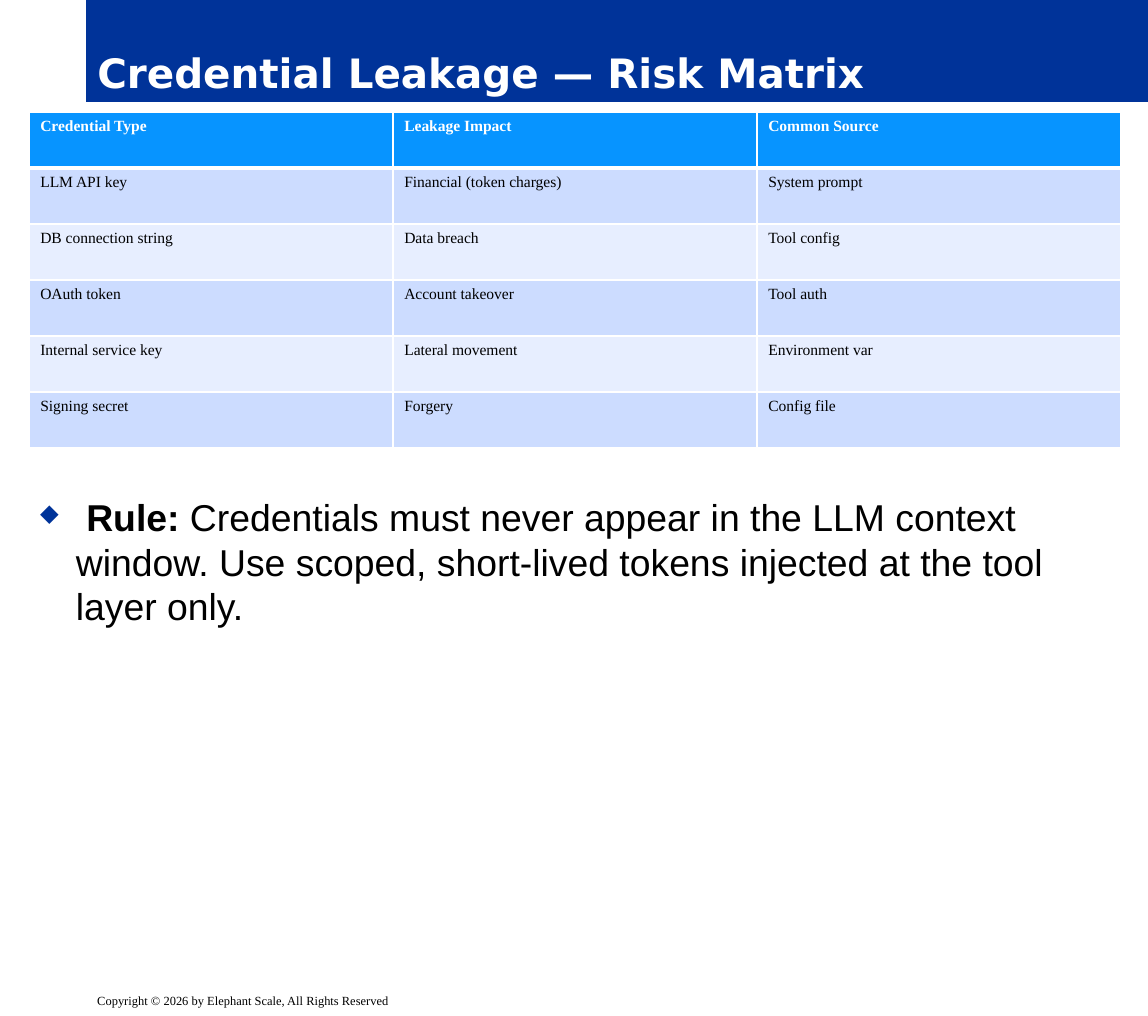
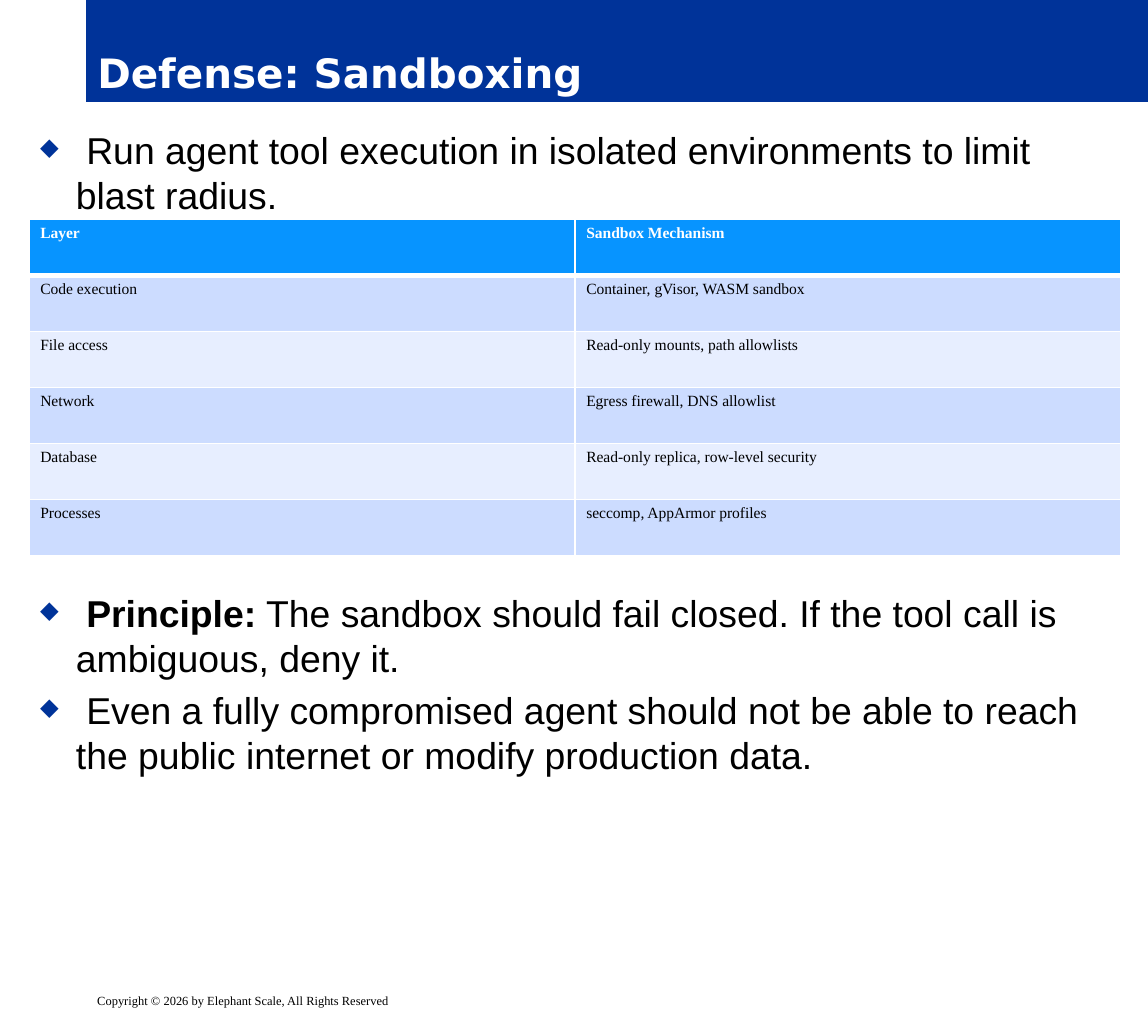
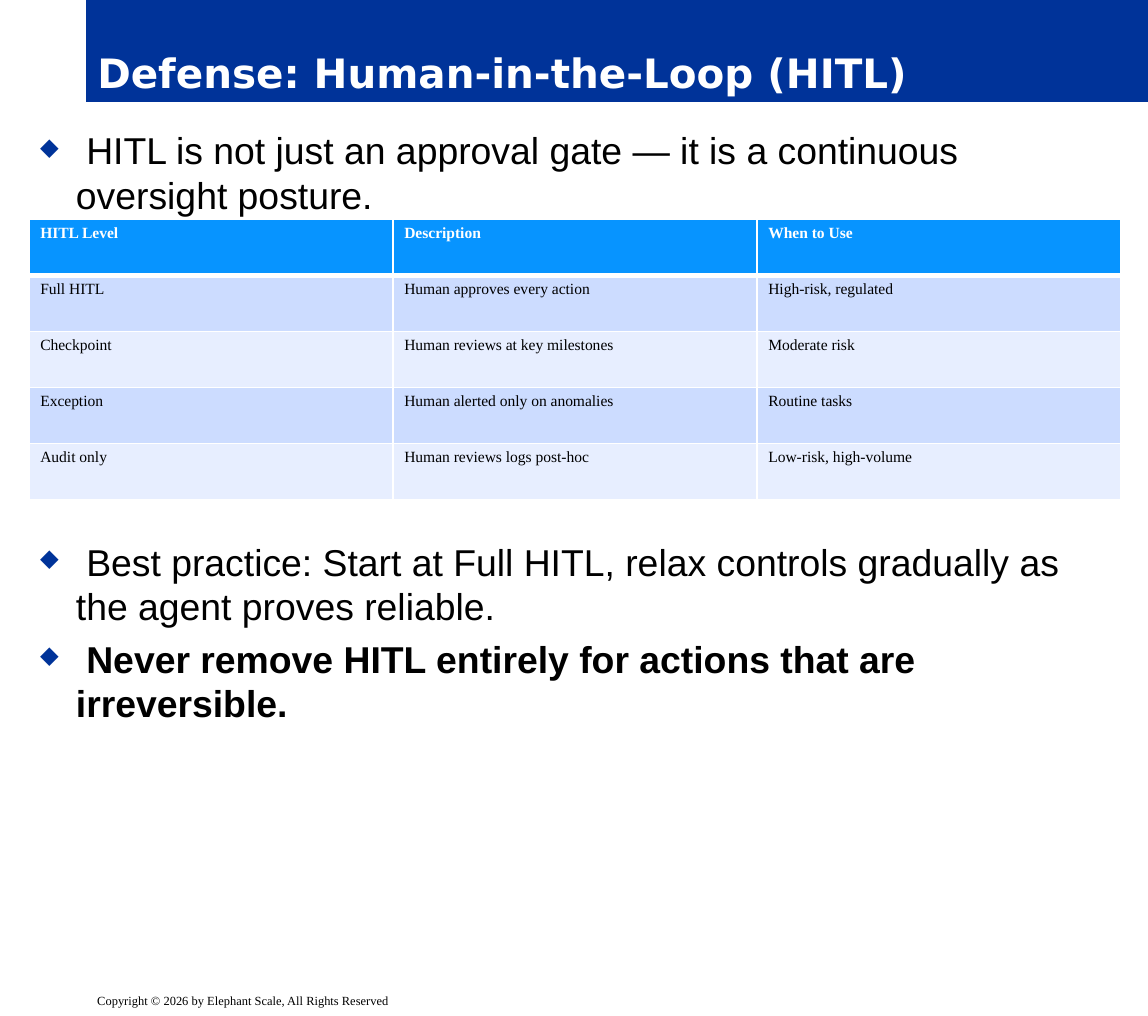
import pptx
import pptx.util
import pptx.dml.color
import pptx.enum.shapes
import pptx.enum.text
import pptx.oxml
import pptx.oxml.ns

Inches, Pt = pptx.util.Inches, pptx.util.Pt
BLUE, HEADER, WHITE, BLACK = "003399", "0794FF", "FFFFFF", "000000"
BANDS = ["E7EEFF", "CCDCFF"]
FOOTER = "Copyright © 2026 by Elephant Scale, All Rights Reserved"
LEFT, WIDTH, ROW_H = 0.26, 9.75, 0.5

# Each slide: title, table top, rows, and bullet groups as (top, bullets);
# a bullet is a list of (text, bold) runs
SLIDES = [
    ("Credential Leakage — Risk Matrix", 1.0,
     [("Credential Type", "Leakage Impact", "Common Source"),
      ("LLM API key", "Financial (token charges)", "System prompt"),
      ("DB connection string", "Data breach", "Tool config"),
      ("OAuth token", "Account takeover", "Tool auth"),
      ("Internal service key", "Lateral movement", "Environment var"),
      ("Signing secret", "Forgery", "Config file")],
     [(4.36, [[(" Rule:", True),
               (" Credentials must never appear in the LLM context window. Use scoped, "
                "short-lived tokens injected at the tool layer only.", False)]])]),
    ("Defense: Sandboxing", 1.96,
     [("Layer", "Sandbox Mechanism"),
      ("Code execution", "Container, gVisor, WASM sandbox"),
      ("File access", "Read-only mounts, path allowlists"),
      ("Network", "Egress firewall, DNS allowlist"),
      ("Database", "Read-only replica, row-level security"),
      ("Processes", "seccomp, AppArmor profiles")],
     [(1.09, [[(" Run agent tool execution in isolated environments to limit blast radius.",
                False)]]),
      (5.22, [[(" Principle:", True),
               (" The sandbox should fail closed. If the tool call is ambiguous, deny it.",
                False)],
              [(" Even a fully compromised agent should not be able to reach the public "
                "internet or modify production data.", False)]])]),
    ("Defense: Human-in-the-Loop (HITL)", 1.96,
     [("HITL Level", "Description", "When to Use"),
      ("Full HITL", "Human approves every action", "High-risk, regulated"),
      ("Checkpoint", "Human reviews at key milestones", "Moderate risk"),
      ("Exception", "Human alerted only on anomalies", "Routine tasks"),
      ("Audit only", "Human reviews logs post-hoc", "Low-risk, high-volume")],
     [(1.09, [[(" HITL is not just an approval gate — it is a continuous oversight posture.",
                False)]]),
      (4.76, [[(" Best practice: Start at Full HITL, relax controls gradually as the agent "
                "proves reliable.", False)],
              [(" Never remove HITL entirely for actions that are irreversible.", True)]])]),
]


def rgb(hex_color):
    return pptx.dml.color.RGBColor.from_string(hex_color)


def add_text(p, text, font="Arial", size=24, color=BLACK, bold=False):
    r = p.add_run()
    r.text = text
    r.font.name, r.font.size, r.font.bold = font, Pt(size), bold
    r.font.color.rgb = rgb(color)


prs = pptx.Presentation()
prs.slide_width, prs.slide_height = Inches(10.25), Inches(9.07)
ns = pptx.oxml.ns.nsdecls("a")

for title, table_top, rows, groups in SLIDES:
    s = prs.slides.add_slide(prs.slide_layouts[6])

    # Title band
    sp = s.shapes.add_shape(pptx.enum.shapes.MSO_SHAPE.RECTANGLE,
                            Inches(0.77), 0, Inches(9.48), Inches(0.91))
    sp.shadow.inherit = False
    sp.fill.solid()
    sp.fill.fore_color.rgb = rgb(BLUE)
    sp.line.fill.background()
    tf = sp.text_frame
    tf.word_wrap = True
    tf.vertical_anchor = pptx.enum.text.MSO_ANCHOR.BOTTOM
    tf.paragraphs[0].alignment = pptx.enum.text.PP_ALIGN.LEFT
    add_text(tf.paragraphs[0], title, font="DejaVu Sans", size=26, color=WHITE, bold=True)

    # Bullets above and below the table
    for top, bullets in groups:
        height = 0.9 if top < table_top else 8.56 - top
        tf = s.shapes.add_textbox(Inches(LEFT), Inches(top), Inches(9.74),
                                  Inches(height)).text_frame
        tf.word_wrap = True
        for i, runs in enumerate(bullets):
            p = tf.add_paragraph() if i else tf.paragraphs[0]
            pPr = p._p.get_or_add_pPr()
            pPr.set("marL", str(Inches(0.32)))
            pPr.set("indent", str(-Inches(0.32)))
            for xml in (f'<a:buClr {ns}><a:srgbClr val="{BLUE}"/></a:buClr>',
                        f'<a:buSzPct {ns} val="65000"/>',
                        f'<a:buChar {ns} char="◆"/>'):
                pPr.append(pptx.oxml.parse_xml(xml))
            p.line_spacing = Pt(28.8)
            p.space_before = Pt(4.8 if i else 0)
            for text, bold in runs:
                add_text(p, text, bold=bold)

    # Footer
    tf = s.shapes.add_textbox(Inches(0.77), Inches(8.82), Inches(9.4),
                              Inches(0.25)).text_frame
    tf.word_wrap = True
    add_text(tf.paragraphs[0], FOOTER, font="Times New Roman", size=8)

    # Table
    cols = len(rows[0])
    table = s.shapes.add_table(len(rows), cols, Inches(LEFT), Inches(table_top),
                               Inches(WIDTH), Inches(ROW_H * len(rows))).table
    table.horz_banding = False
    for col in table.columns:
        col.width = Inches(WIDTH / cols)
    for i, row in enumerate(rows):
        table.rows[i].height = Inches(ROW_H)
        for j, text in enumerate(row):
            cell = table.cell(i, j)
            tcPr = cell._tc.get_or_add_tcPr()
            for side in "LRTB":
                thick = (i, side) in ((0, "B"), (1, "T"))
                tcPr.append(pptx.oxml.parse_xml(
                    f'<a:ln{side} {ns} w="{Pt(3 if thick else 1)}"><a:solidFill>'
                    f'<a:srgbClr val="{WHITE}"/></a:solidFill></a:ln{side}>'))
            cell.fill.solid()
            cell.fill.fore_color.rgb = rgb(BANDS[i % 2] if i else HEADER)
            add_text(cell.text_frame.paragraphs[0], text, font="Times New Roman", size=10,
                     color=BLACK if i else WHITE, bold=i == 0)

prs.save("out.pptx")
